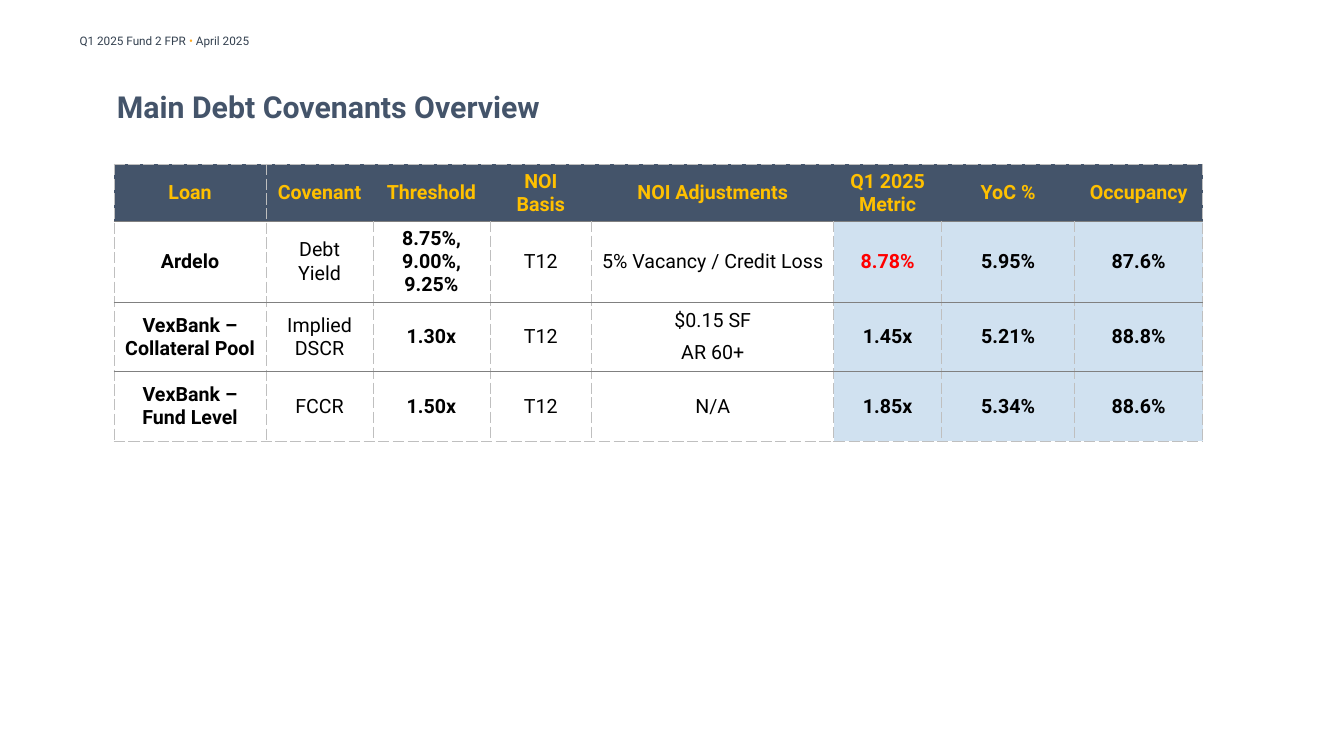
from lxml.etree import SubElement
from pptx import Presentation
from pptx.dml.color import RGBColor
from pptx.enum.text import MSO_ANCHOR as Anchor, MSO_AUTO_SIZE as AutoSize, PP_ALIGN as Align
from pptx.oxml import parse_xml
from pptx.oxml.ns import nsdecls, qn
from pptx.util import Inches, Pt

COLORS = {
    "slate": "44546A", "gold": "FFC000", "ink": "33404F", "amber": "FFAB21",
    "black": "000000", "red": "FF0000", "white": "FFFFFF", "metric": "D0E1F0",
    "dash": "BFBFBF", "rule": "808080",
}
COLUMN_WIDTHS = [1.51, 1.06, 1.16, 1.01, 2.4, 1.07, 1.32, 1.27]
ROW_HEIGHTS = [0.56, 0.79, 0.69, 0.69]
BOLD_COLUMNS = {0, 2, 5, 6, 7}
FIRST_METRIC_COLUMN = 5
COVENANTS = [
    ["Loan", "Covenant", "Threshold", "NOI Basis", "NOI Adjustments",
     "Q1 2025\nMetric", "YoC %", "Occupancy"],
    ["Ardelo", "Debt Yield", "8.75%, 9.00%, 9.25%", "T12", "5% Vacancy / Credit Loss",
     "8.78%", "5.95%", "87.6%"],
    ["VexBank – Collateral Pool", "Implied DSCR", "1.30x", "T12", "$0.15 SF\nAR 60+",
     "1.45x", "5.21%", "88.8%"],
    ["VexBank –\nFund Level", "FCCR", "1.50x", "T12", "N/A",
     "1.85x", "5.34%", "88.6%"],
]
BREACH_RISK = "8.78%"
SPACED_ENTRY = "AR 60+"


class CovenantSlide:
    font = "Roboto"

    def __init__(self, deck):
        self.slide = deck.slides.add_slide(deck.slide_layouts[5])

    def add_run(self, paragraph, text, size, color, bold=False):
        run = paragraph.add_run()
        run.text = text
        run.font.name = self.font
        run.font.size = Pt(size)
        run.font.bold = bold
        run.font.color.rgb = RGBColor.from_string(COLORS[color])

    def title(self, text, left, top, width, height):
        heading = self.slide.shapes.title
        heading.left, heading.top = Inches(left), Inches(top)
        heading.width, heading.height = Inches(width), Inches(height)
        frame = heading.text_frame
        frame.auto_size = AutoSize.NONE
        frame.vertical_anchor = Anchor.MIDDLE
        frame.margin_left = frame.margin_right = frame.margin_top = frame.margin_bottom = 0
        frame.paragraphs[0].alignment = Align.LEFT
        self.add_run(frame.paragraphs[0], text, 21.6, "slate", True)

    def text(self, runs, left, top, width, height, size):
        label = self.slide.shapes.add_textbox(
            Inches(left), Inches(top), Inches(width), Inches(height))
        label.text_frame.word_wrap = True
        for words, color in runs:
            self.add_run(label.text_frame.paragraphs[0], words, size, color)

    def borders(self, cell, edges):
        properties = cell._tc.get_or_add_tcPr()
        for position, (side, style) in enumerate(edges.items()):
            line = parse_xml(f'<a:{side} {nsdecls("a")}/>')
            if style is None:
                SubElement(line, qn("a:noFill"))
            else:
                line.set("w", str(Pt(0.5 if style == "dash" else 1)))
                fill = SubElement(line, qn("a:solidFill"))
                SubElement(fill, qn("a:srgbClr")).set("val", COLORS[style])
                pattern = "sysDash" if style == "dash" else "solid"
                SubElement(line, qn("a:prstDash")).set("val", pattern)
            properties.insert(position, line)

    def cell(self, cell, text, color, bold, fill):
        cell.vertical_anchor = Anchor.MIDDLE
        cell.fill.solid()
        cell.fill.fore_color.rgb = RGBColor.from_string(COLORS[fill])
        for index, words in enumerate(text.split("\n")):
            frame = cell.text_frame
            paragraph = frame.add_paragraph() if index else frame.paragraphs[0]
            paragraph.alignment = Align.CENTER
            if words == SPACED_ENTRY:
                paragraph.space_before = Pt(6)
            self.add_run(paragraph, words, 14, color, bold)

    def table(self, rows, left, top):
        last_row, last_column = len(rows) - 1, len(COLUMN_WIDTHS) - 1
        grid = self.slide.shapes.add_table(
            len(rows), len(COLUMN_WIDTHS), Inches(left), Inches(top),
            Inches(sum(COLUMN_WIDTHS)), Inches(sum(ROW_HEIGHTS))).table
        grid.horz_banding = False
        for column, width in zip(grid.columns, COLUMN_WIDTHS):
            column.width = Inches(width)
        for row, height in zip(grid.rows, ROW_HEIGHTS):
            row.height = Inches(height)
        for r, entries in enumerate(rows):
            header = r == 0
            for c, entry in enumerate(entries):
                if header:
                    color, fill = "gold", "slate"
                else:
                    color = "red" if entry == BREACH_RISK else "black"
                    fill = "metric" if c >= FIRST_METRIC_COLUMN else "white"
                self.cell(grid.cell(r, c), entry, color, header or c in BOLD_COLUMNS, fill)
                self.borders(grid.cell(r, c), {
                    "lnL": "dash" if not header or c < 2 else None,
                    "lnR": "dash" if not header or c in (0, last_column) else None,
                    "lnT": "dash" if header else "rule",
                    "lnB": "dash" if r == last_row else "rule",
                })


def main():
    deck = Presentation()
    deck.slide_width, deck.slide_height = Inches(13.33), Inches(7.5)
    page = CovenantSlide(deck)
    page.text([("Q1 2025 Fund 2 FPR ", "ink"), ("• ", "amber"), ("April 2025", "ink")],
              0.69, 0.29, 4.51, 0.24, 8.4)
    page.title("Main Debt Covenants Overview", 1.16, 0.68, 11.02, 0.75)
    page.table(COVENANTS, 1.13, 1.63)
    deck.save("out.pptx")


if __name__ == "__main__":
    main()
